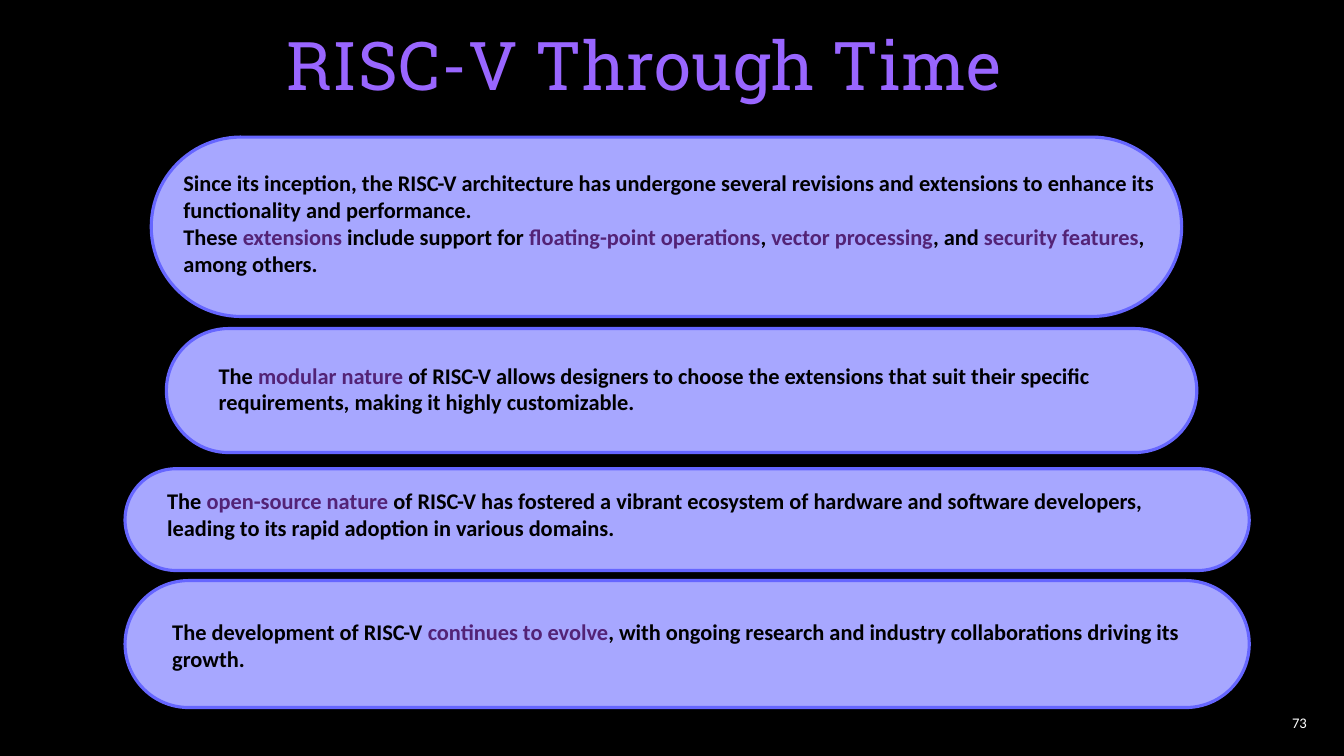
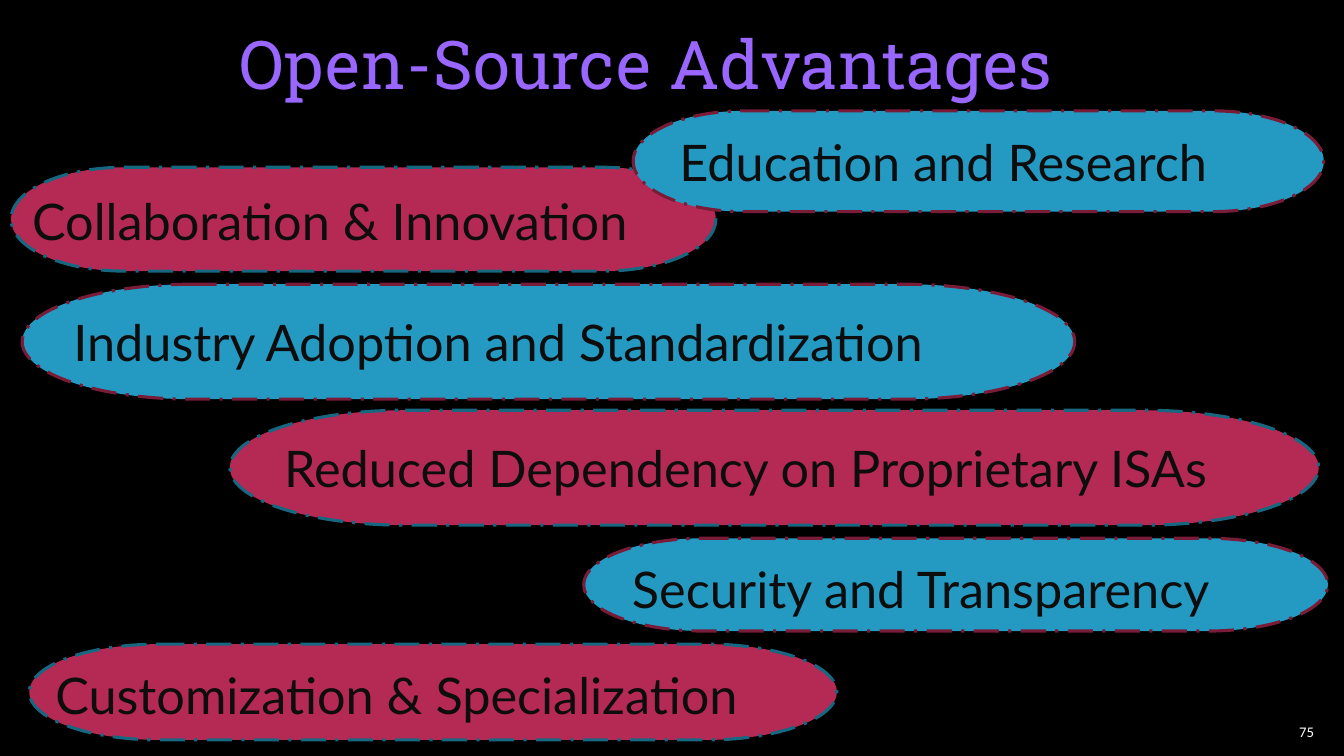
from pptx import Presentation
from pptx.dml.color import RGBColor
from pptx.enum import dml, shapes, text
from pptx.util import Inches, Pt

COLORS = {
    "background": "000000", "title": "9966FF", "number": "FFFFFF",
    "lavender": "A7A7FF", "violet": "6666FF", "body": "000000", "accent": "532376",
    "crimson": "B52A54", "teal": "186781", "blue": "249AC2", "maroon": "791C38",
    "label": "0D0D0D",
}
PILL_STYLES = {
    "history": ("lavender", "violet"),
    "red": ("crimson", "teal"),
    "blue": ("blue", "maroon"),
}
HISTORY = [
    ((1.5, 1.36, 10.22, 1.78), (1.72, 1.42, 9.84, 1.58),
     ["Since its inception, the RISC-V architecture has undergone several revisions "
      "and extensions to enhance its functionality and performance.",
      "These |extensions| include support for |floating-point operations|, "
      "|vector processing|, and |security features|, among others."]),
    ((1.65, 3.26, 10.22, 1.23), (2.07, 3.29, 9.49, 1.13),
     ["The |modular nature| of RISC-V allows designers to choose the extensions that "
      "suit their specific requirements, making it highly customizable."]),
    ((1.24, 4.65, 11.15, 1.01), (1.56, 4.78, 10.31, 0.64),
     ["The |open-source nature| of RISC-V has fostered a vibrant ecosystem of hardware "
      "and software developers, leading to its rapid adoption in various domains."]),
    ((1.24, 5.76, 11.15, 1.26), (1.61, 5.95, 10.89, 0.9),
     ["The development of RISC-V |continues to evolve|, with ongoing research and "
      "industry collaborations driving its growth."]),
]
ADVANTAGES = [
    ("red", (0.11, 1.66, 6.99, 1.03), (0.11, 0.18), "Collaboration & Innovation"),
    ("red", (0.29, 6.39, 8.01, 0.95), (0.16, 0.15), "Customization & Specialization"),
    ("red", (2.28, 4.07, 10.8, 1.14), (0.44, 0.22), "Reduced Dependency on Proprietary ISAs"),
    ("blue", (6.28, 1.1, 6.85, 1), (0.36, 0.15), "Education and Research"),
    ("blue", (5.79, 5.34, 7.38, 0.92), (0.38, 0.15), "Security and Transparency"),
    ("blue", (0.22, 2.82, 10.44, 1.14), (0.41, 0.22), "Industry Adoption and Standardization"),
]


def rgb(name):
    """Return the named colour."""
    return RGBColor.from_string(COLORS[name])


def add_text(slide, box, lines, font, size, color, bold=False,
             align=text.PP_ALIGN.LEFT, anchor=text.MSO_ANCHOR.TOP):
    """Add a text box whose parts between bars take the accent colour."""
    tf = slide.shapes.add_textbox(*map(Inches, box)).text_frame
    tf.word_wrap = True
    tf.vertical_anchor = anchor
    for i, line in enumerate(lines):
        p = tf.paragraphs[0] if i == 0 else tf.add_paragraph()
        p.alignment = align
        for j, part in enumerate(line.split("|")):
            r = p.add_run()
            r.text = part
            r.font.name, r.font.size, r.font.bold = font, Pt(size), bold
            r.font.color.rgb = rgb("accent" if j % 2 else color)
    return tf


def add_pill(slide, box, preset, style):
    """Add a rounded bar in one of the pill styles."""
    fill, line = PILL_STYLES[style]
    sp = slide.shapes.add_shape(preset, *map(Inches, box))
    sp.shadow.inherit = False
    sp.fill.solid()
    sp.fill.fore_color.rgb = rgb(fill)
    sp.line.color.rgb = rgb(line)
    sp.line.width = Pt(2.25)
    return sp


def add_base(prs, title, title_box, number, number_box):
    """Add a black slide with its title and page number."""
    slide = prs.slides.add_slide(prs.slide_layouts[6])
    slide.background.fill.solid()
    slide.background.fill.fore_color.rgb = rgb("background")
    tf = add_text(slide, title_box, [title], "Roboto Slab", 48, "title")
    tf.paragraphs[0].runs[0].font._element.set("spc", "50")
    add_text(slide, number_box, [number], "Calibri", 10.5, "number",
             align=text.PP_ALIGN.RIGHT, anchor=text.MSO_ANCHOR.MIDDLE)
    return slide


def history_slide(prs):
    """Build the slide on the evolution of RISC-V."""
    slide = add_base(prs, "RISC-V Through Time", (2.74, 0.18, 7.85, 0.91),
                     "73", (12.22, 6.97, 0.84, 0.4))
    for box, text_box, lines in HISTORY:
        sp = add_pill(slide, box, shapes.MSO_SHAPE.ROUND_2_DIAG_RECTANGLE, "history")
        sp.adjustments[0] = sp.adjustments[1] = 0.5
        add_text(slide, text_box, lines, "Calibri", 16, "body", bold=True,
                 anchor=text.MSO_ANCHOR.MIDDLE)


def advantages_slide(prs):
    """Build the slide on the advantages of open source."""
    slide = add_base(prs, "Open-Source Advantages", (2.28, 0.17, 8.78, 0.91),
                     "75", (12.29, 7.06, 0.84, 0.4))
    for style, box, (dx, dy), label in ADVANTAGES:
        sp = add_pill(slide, box, shapes.MSO_SHAPE.FLOWCHART_TERMINATOR, style)
        sp.line.dash_style = dml.MSO_LINE.LONG_DASH_DOT
        left, top, width, _ = box
        add_text(slide, (left + dx, top + dy, width - dx, 0.71), [label],
                 "Lato", 36, "label")


def main():
    """Build and save the presentation."""
    prs = Presentation()
    prs.slide_width, prs.slide_height = Inches(13.33), Inches(7.5)
    history_slide(prs)
    advantages_slide(prs)
    prs.save("out.pptx")


if __name__ == "__main__":
    main()
